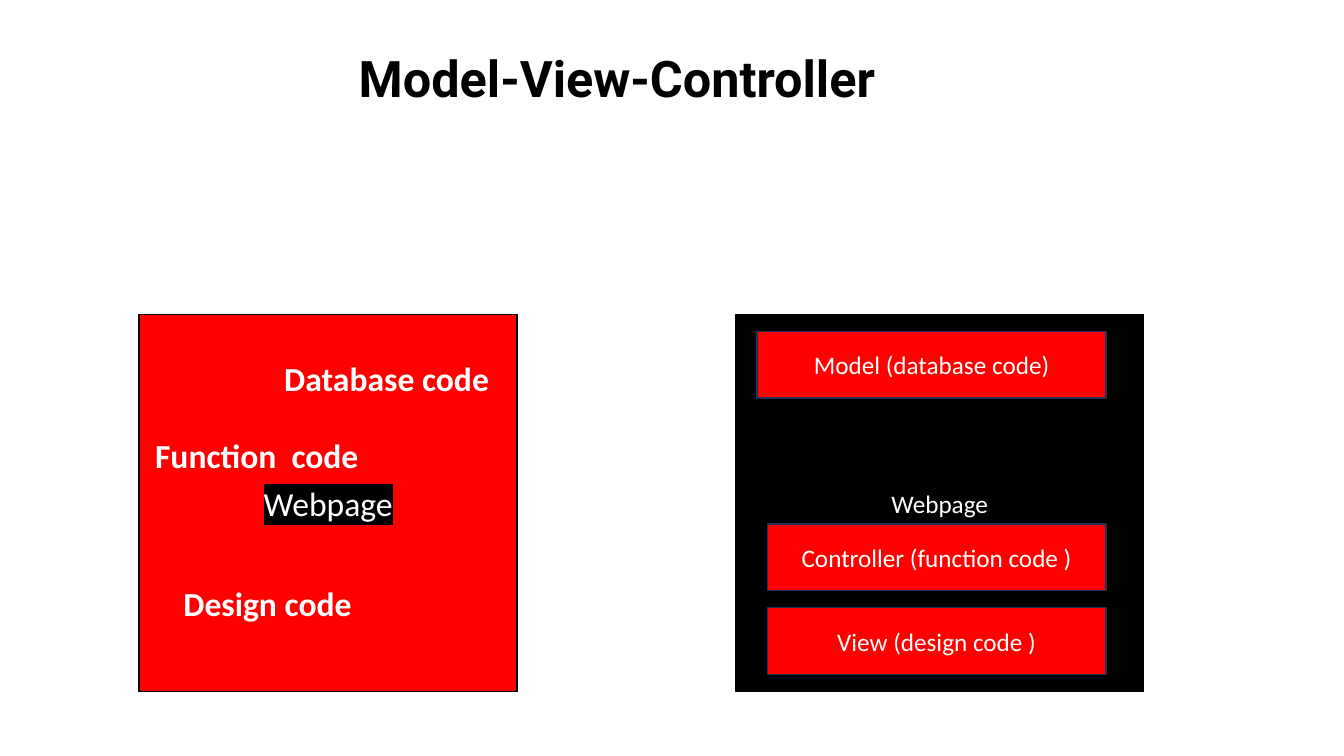
from dataclasses import dataclass

from lxml import etree
from pptx import Presentation
from pptx.dml.color import RGBColor
from pptx.enum.shapes import MSO_SHAPE
from pptx.enum.text import MSO_ANCHOR, PP_ALIGN
from pptx.oxml.ns import qn
from pptx.util import Inches, Pt

RECT = MSO_SHAPE.RECTANGLE
MIDDLE = MSO_ANCHOR.MIDDLE
LEFT, CENTER = PP_ALIGN.LEFT, PP_ALIGN.CENTER


@dataclass(frozen=True)
class Theme:
    black: str = "000000"
    white: str = "FFFFFF"
    red: str = "FF0000"
    navy: str = "1E3256"
    body_font: str = "Calibri"
    title_font: str = "Roboto"
    title: int = 36
    large: int = 24
    small: int = 18


T = Theme()


def rgb(color):
    return RGBColor.from_string(color)


def add_text(tf, text, size=T.small, color=T.white, font=T.body_font,
             bold=False, align=LEFT, highlight=None):
    p = tf.paragraphs[0]
    p.alignment = align
    r = p.add_run()
    r.text = text
    r.font.size = Pt(size)
    r.font.bold = bold
    r.font.name = font
    r.font.color.rgb = rgb(color)
    if highlight:
        mark = etree.Element(qn("a:highlight"))
        etree.SubElement(mark, qn("a:srgbClr"), val=highlight)
        r.font._element.find(qn("a:solidFill")).addnext(mark)


def add_label(s, text, x, y, w, h, wrap=False, **fmt):
    box = s.shapes.add_textbox(Inches(x), Inches(y), Inches(w), Inches(h))
    box.text_frame.word_wrap = wrap
    add_text(box.text_frame, text, bold=True, **fmt)


def add_box(s, text, x, y, w, h, fill, line, **fmt):
    sp = s.shapes.add_shape(RECT, Inches(x), Inches(y), Inches(w), Inches(h))
    sp.shadow.inherit = False
    sp.fill.solid()
    sp.fill.fore_color.rgb = rgb(fill)
    sp.line.color.rgb = rgb(line)
    sp.line.width = Pt(1)
    tf = sp.text_frame
    tf.word_wrap = True
    tf.vertical_anchor = MIDDLE
    add_text(tf, text, align=CENTER, **fmt)


def add_mixed_page(s):
    add_box(s, "Webpage", 1.38, 3.12, 3.75, 3.74, T.red, T.black,
            size=T.large, highlight=T.black)
    for text, x, y, w in (
        ("Database code", 2.72, 3.5, 2.26),
        ("Design code", 1.72, 5.73, 1.89),
        ("Function  code", 1.44, 4.27, 2.24),
    ):
        add_label(s, text, x, y, w, 0.5, size=T.large)


def add_mvc_page(s):
    add_box(s, "Webpage", 7.3, 3.12, 4.04, 3.74, T.black, T.black)
    right = 10.97
    for text, x, y in (
        ("Model (database code)", 7.51, 3.29),
        ("Controller (function code )", 7.61, 5.2),
        ("View (design code )", 7.61, 6.03),
    ):
        add_box(s, text, x, y, right - x, 0.66, T.red, T.navy)


def main():
    prs = Presentation()
    prs.slide_width = Inches(13.33)
    prs.slide_height = Inches(7.5)
    s = prs.slides.add_slide(prs.slide_layouts[6])
    add_label(s, "Model-View-Controller", 3.46, 0.42, 6.67, 0.71, wrap=True,
              size=T.title, color=T.black, font=T.title_font)
    add_mixed_page(s)
    add_mvc_page(s)
    prs.save("out.pptx")


if __name__ == "__main__":
    main()
